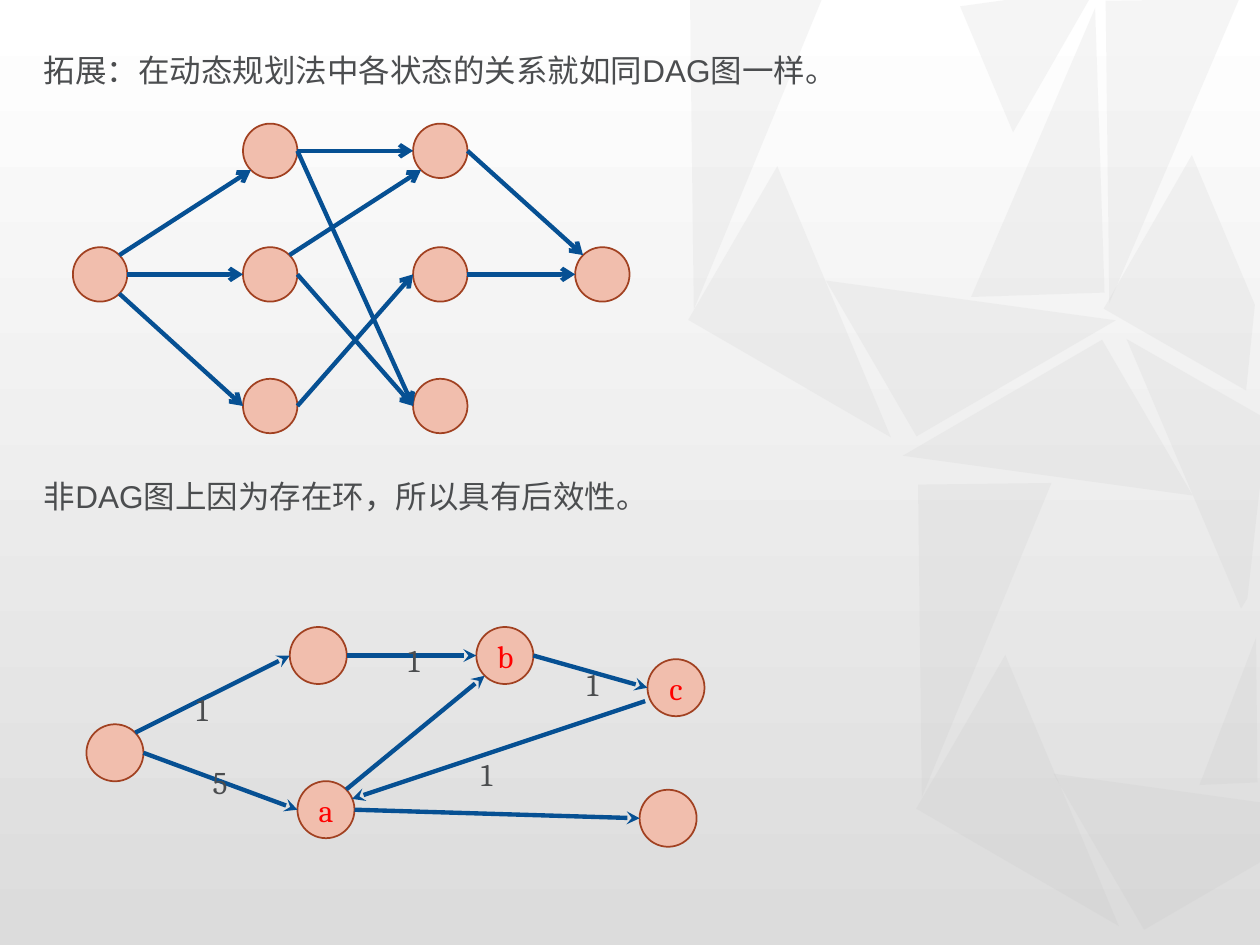
"""Build a slide contrasting a DAG of states with a cyclic graph."""
from lxml import etree
from pptx import Presentation
from pptx.dml.color import RGBColor
from pptx.enum.shapes import MSO_CONNECTOR, MSO_SHAPE
from pptx.enum.text import MSO_ANCHOR, PP_ALIGN
from pptx.oxml.ns import qn
from pptx.util import Pt

RECTANGLE, OVAL, TRIANGLE = MSO_SHAPE.RECTANGLE, MSO_SHAPE.OVAL, MSO_SHAPE.RIGHT_TRIANGLE
STRAIGHT = MSO_CONNECTOR.STRAIGHT
CENTER, MIDDLE = PP_ALIGN.CENTER, MSO_ANCHOR.MIDDLE

COLORS = {
    "bottom": "DCDCDC", "top": "FFFFFF", "facet": "BFBFBF", "text": "4B4D4F",
    "node": "F1BEAD", "outline": "A14121", "edge": "065093", "letter": "FF0000",
}
WIDTH, HEIGHT = 720, 540
FACET_OPACITY = 14

STATEMENTS = ["拓展：在动态规划法中各状态的关系就如同DAG图一样。", "非DAG图上因为存在环，所以具有后效性。"]
STATEMENT_GAP = 215

FACET_TRIANGLES = [
    (532.8, 220.3, 131.8, 103, 149.8),
    (474.5, 327.6, 178.6, 76.3, 89.3),
    (540, 401, 133.9, 101.5, 30.1),
    (584.6, 48.2, 172.8, 76.3, 89.3),
    (344.2, 49, 178.6, 76.3, 89.3),
    (409.7, 121.7, 133.9, 101.5, 30.1),
    (488.9, 120.2, 131.8, 103, 329.8),
    (509, 49, 162.7, 76.3, 268.1),
]
FACET_POLYGONS = [
    [(601.9, 442.1), (720.7, 458.6), (724.3, 490.3), (653.8, 531.4)],
    [(717.8, 364.3), (718.6, 447.1), (685.4, 448.6)],
    [(643.7, 193.7), (724.3, 239.8), (712.8, 342), (709.2, 347.8)],
    [(681.1, 88.6), (717.1, 174.2), (712.1, 223.2), (630.7, 176.4)],
    [(548.6, 3.6), (626.4, -7.2), (578.9, 75.6)],
]

COLUMNS, ROWS = (57.2, 154.4, 251.6, 344.2), (86.2, 156.8, 232)
DAG = {
    "diameter": 31.1,
    "arrowhead": "arrow",
    "nodes": {
        name: (COLUMNS[column], ROWS[row])
        for name, column, row in [
            ("start", 0, 1), ("top 1", 1, 0), ("mid 1", 1, 1), ("low 1", 1, 2),
            ("top 2", 2, 0), ("mid 2", 2, 1), ("low 2", 2, 2), ("end", 3, 1),
        ]
    },
    "edges": [
        ("start", "NE", "top 1", "SW"), ("start", "E", "mid 1", "W"),
        ("start", "SE", "low 1", "W"), ("top 1", "E", "top 2", "W"),
        ("top 1", "E", "low 2", "W"), ("mid 1", "E", "low 2", "W"),
        ("low 1", "E", "mid 2", "W"), ("top 2", "E", "end", "NW"),
        ("mid 2", "E", "end", "W"), ("mid 1", "NE", "top 2", "SW"),
    ],
}
CYCLIC = {
    "diameter": 32.6,
    "arrowhead": "stealth",
    "nodes": {
        "start": (65.7, 430.2), "upper": (181.9, 374.6), "a": (186.3, 462.7),
        "b": (288.5, 374.6), "c": (386.3, 393), "end": (381.8, 467.6),
    },
    "edges": [
        ("start", "NE", "upper", "W"), ("start", "E", "a", "W"),
        ("upper", "E", "b", "W"), ("a", "NE", "b", "SW"),
        ("b", "E", "c", "W"), ("c", "WSW", "a", "ENE"), ("a", "E", "end", "W"),
    ],
}
LETTERED = ("a", "b", "c")
WEIGHTS = [
    ("5", 114.5, 432.7), ("1", 105.1, 391), ("1", 226.1, 362.9),
    ("1", 328.3, 376.6), ("1", 267.8, 427.7),
]
DIAGONAL = 0.71
SIDES = {
    "E": (1, 0), "W": (-1, 0),
    "NE": (DIAGONAL, -DIAGONAL), "SE": (DIAGONAL, DIAGONAL),
    "NW": (-DIAGONAL, -DIAGONAL), "SW": (-DIAGONAL, DIAGONAL),
    "WSW": (-1.08, 0.47), "ENE": (0.91, -0.38),
}


def color(name):
    return RGBColor.from_string(COLORS[name])


def style_font(paragraph, typeface, color_name):
    paragraph.font.name = typeface
    paragraph.font.size = Pt(18)
    paragraph.font.color.rgb = color(color_name)


def draw_backdrop(shapes):
    backdrop = shapes.add_shape(RECTANGLE, 0, 0, Pt(WIDTH), Pt(HEIGHT))
    backdrop.shadow.inherit = False
    backdrop.line.fill.background()
    backdrop.fill.gradient()
    backdrop.fill.gradient_angle = 90
    for stop, name in zip(backdrop.fill.gradient_stops, ("bottom", "top")):
        stop.color.rgb = color(name)

    facets = []
    for *box, angle in FACET_TRIANGLES:
        facet = shapes.add_shape(TRIANGLE, *map(Pt, box))
        facet.rotation = angle
        facets.append(facet)
    for corners in FACET_POLYGONS:
        points = [(Pt(x), Pt(y)) for x, y in corners]
        outline = shapes.build_freeform(*points[0])
        outline.add_line_segments(points[1:])
        facets.append(outline.convert_to_shape())
    for facet in facets:
        facet.shadow.inherit = False
        facet.line.fill.background()
        facet.fill.solid()
        facet.fill.fore_color.rgb = color("facet")
        tint = facet._element.spPr.find(qn("a:solidFill"))[0]
        etree.SubElement(tint, qn("a:alpha"), val=str(FACET_OPACITY * 1000))


def draw_statements(shapes):
    frame = shapes.add_textbox(Pt(18), Pt(19.4), Pt(476), Pt(288)).text_frame
    frame.word_wrap = False
    for index, statement in enumerate(STATEMENTS):
        paragraph = frame.add_paragraph() if index else frame.paragraphs[0]
        paragraph.text = statement
        paragraph.line_spacing = 1.3
        paragraph.space_before = Pt(STATEMENT_GAP * index)
        style_font(paragraph, "Arial", "text")


def draw_graph(shapes, graph):
    nodes, diameter = graph["nodes"], graph["diameter"]
    radius = diameter / 2
    for name, (x, y) in nodes.items():
        node = shapes.add_shape(OVAL, Pt(x - radius), Pt(y - radius), Pt(diameter), Pt(diameter))
        node.shadow.inherit = False
        node.fill.solid()
        node.fill.fore_color.rgb = color("node")
        node.line.color.rgb = color("outline")
        node.line.width = Pt(1)
        if name in LETTERED:
            node.text_frame.text = name
            node.text_frame.vertical_anchor = MIDDLE
            letter = node.text_frame.paragraphs[0]
            letter.alignment = CENTER
            style_font(letter, "Cambria", "letter")

    def site(name, side):
        return [Pt(c + radius * d) for c, d in zip(nodes[name], SIDES[side])]

    for source, exit_side, target, entry_side in graph["edges"]:
        edge = shapes.add_connector(STRAIGHT, *site(source, exit_side), *site(target, entry_side))
        edge.line.color.rgb = color("edge")
        edge.line.width = Pt(2.5)
        etree.SubElement(edge.line._get_or_add_ln(), qn("a:tailEnd"), type=graph["arrowhead"])
        etree.SubElement(edge._element.spPr, qn("a:effectLst"))


def draw_weights(shapes):
    for weight, left, top in WEIGHTS:
        frame = shapes.add_textbox(Pt(left), Pt(top), Pt(17), Pt(29)).text_frame
        frame.word_wrap = True
        frame.text = weight
        style_font(frame.paragraphs[0], "Cambria", "text")


def main():
    deck = Presentation()
    deck.slide_width, deck.slide_height = Pt(WIDTH), Pt(HEIGHT)
    shapes = deck.slides.add_slide(deck.slide_layouts[6]).shapes
    draw_backdrop(shapes)
    draw_statements(shapes)
    for graph in (DAG, CYCLIC):
        draw_graph(shapes, graph)
    draw_weights(shapes)
    deck.save("out.pptx")


if __name__ == "__main__":
    main()
